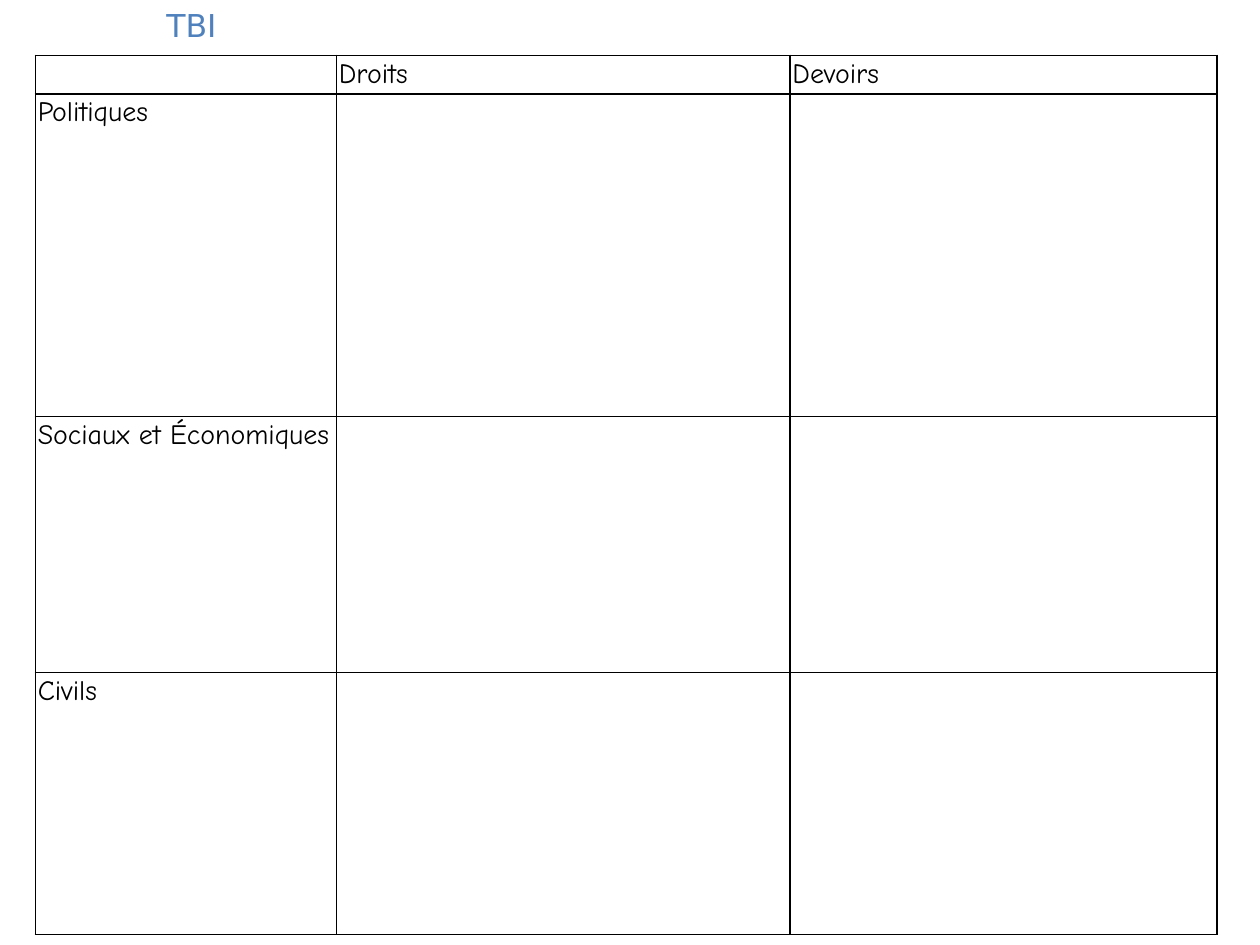
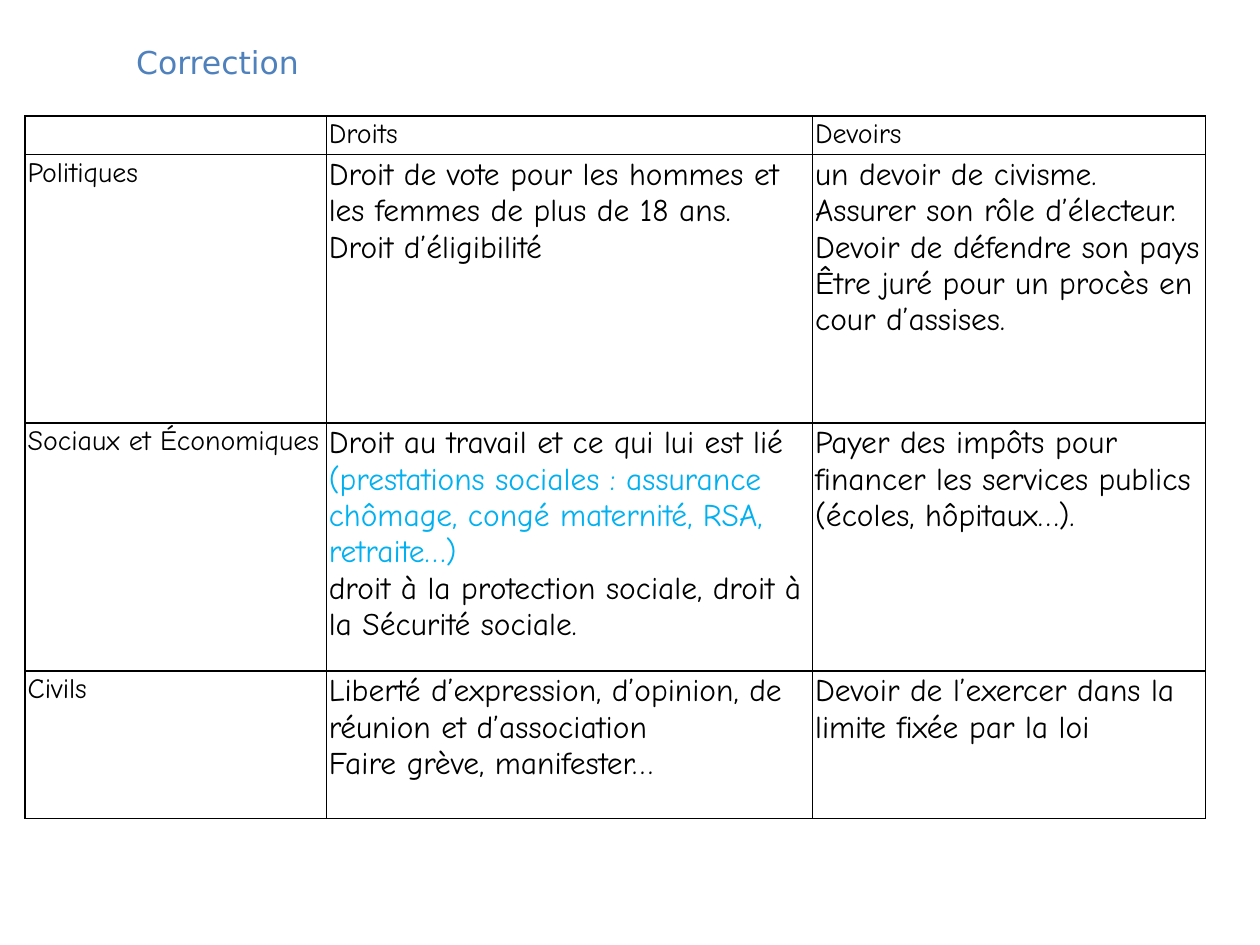
from dataclasses import dataclass

import pptx
import pptx.dml.color
import pptx.enum.text
import pptx.oxml
import pptx.oxml.ns
import pptx.util
from lxml import etree


@dataclass(frozen=True)
class Theme:
    title_color: str = "4F81BD"
    text_color: str = "000000"
    accent_color: str = "00B0F0"
    paper_color: str = "FFFFFF"
    title_font: str = "DejaVu Sans"
    table_font: str = "Comic Neue"
    title_size: int = 18
    label_size: int = 16
    answer_size: int = 18
    border_width: int = 1
    cell_margin: float = 0.02


THEME = Theme()
GRID_COLUMNS, GRID_ROWS = 100, 75
SLIDE_WIDTH, SLIDE_HEIGHT = pptx.util.Inches(10), pptx.util.Inches(7.5)
HEADINGS = ["Droits", "Devoirs"]
CATEGORIES = ["Politiques", "Sociaux et Économiques", "Civils"]
NO_ANSWERS = [["", ""] for _ in CATEGORIES]
ANSWERS = [
    [
        ["Droit de vote pour les hommes et les femmes de plus de 18 ans.",
         "Droit d’éligibilité"],
        ["un devoir de civisme. Assurer son rôle d’électeur.",
         "Devoir de défendre son pays",
         "Être juré pour un procès en cour d’assises."],
    ],
    [
        [("Droit au travail et ce qui lui est lié ",
          "(prestations sociales : assurance chômage, congé maternité, RSA, retraite…)"),
         "droit à la protection sociale, droit à la Sécurité sociale."],
        ["Payer des impôts pour financer les services publics (écoles, hôpitaux…)."],
    ],
    [
        ["Liberté d’expression, d’opinion, de réunion et d’association",
         "Faire grève, manifester…"],
        ["Devoir de l’exercer dans la limite fixée par la loi"],
    ],
]


def across(columns):
    return round(SLIDE_WIDTH * columns / GRID_COLUMNS)


def down(rows):
    return round(SLIDE_HEIGHT * rows / GRID_ROWS)


def rgb(color):
    return pptx.dml.color.RGBColor.from_string(color)


def style_run(r, font, size, color):
    r.font.name = font
    r.font.size = pptx.util.Pt(size)
    r.font.color.rgb = rgb(color)


def add_title(s, text, left, top, width):
    sp = s.shapes.title
    sp.left, sp.top = across(left), down(top)
    sp.width, sp.height = across(width), down(4)
    tf = sp.text_frame
    tf.text = text
    tf.word_wrap = False
    tf.auto_size = pptx.enum.text.MSO_AUTO_SIZE.SHAPE_TO_FIT_TEXT
    tf.vertical_anchor = pptx.enum.text.MSO_ANCHOR.TOP
    p = tf.paragraphs[0]
    p.alignment = pptx.enum.text.PP_ALIGN.LEFT
    style_run(p.runs[0], THEME.title_font, THEME.title_size, THEME.title_color)


def add_borders(cell):
    tcPr = cell._tc.get_or_add_tcPr()
    for side in ("a:lnL", "a:lnR", "a:lnT", "a:lnB"):
        ln = etree.SubElement(tcPr, pptx.oxml.ns.qn(side))
        ln.set("w", str(pptx.util.Pt(THEME.border_width)))
        fill = etree.SubElement(ln, pptx.oxml.ns.qn("a:solidFill"))
        etree.SubElement(fill, pptx.oxml.ns.qn("a:srgbClr")).set("val", THEME.text_color)


def format_cell(cell):
    margin = pptx.util.Inches(THEME.cell_margin)
    cell.margin_left = cell.margin_right = margin
    cell.margin_top = cell.margin_bottom = margin
    add_borders(cell)
    cell.fill.solid()
    cell.fill.fore_color.rgb = rgb(THEME.paper_color)


def fill_label(cell, text):
    p = cell.text_frame.paragraphs[0]
    p.text = text
    for r in p.runs:
        style_run(r, THEME.table_font, THEME.label_size, THEME.text_color)
    if not text:
        end = etree.SubElement(p._p, pptx.oxml.ns.qn("a:endParaRPr"))
        end.set("sz", str(THEME.label_size * 100))
        etree.SubElement(end, pptx.oxml.ns.qn("a:latin")).set("typeface", THEME.table_font)


def fill_answer(cell, paragraphs):
    tf = cell.text_frame
    for i, content in enumerate(paragraphs):
        p = tf.add_paragraph() if i else tf.paragraphs[0]
        parts = content if isinstance(content, tuple) else (content,)
        for text, color in zip(parts, (THEME.text_color, THEME.accent_color)):
            r = p.add_run()
            r.text = text
            style_run(r, THEME.table_font, THEME.answer_size, color)


def add_rights_table(s, left, top, widths, heights, answers):
    table = s.shapes.add_table(
        len(heights), len(widths), across(left), down(top),
        across(sum(widths)), down(sum(heights))).table
    table.first_row = table.horz_banding = False
    for column, width in zip(table.columns, widths):
        column.width = across(width)
    for row, height in zip(table.rows, heights):
        row.height = down(height)
    content = [["", *HEADINGS]]
    content += [[name, *cells] for name, cells in zip(CATEGORIES, answers)]
    for row, values in zip(table.rows, content):
        for cell, value in zip(row.cells, values):
            format_cell(cell)
            if isinstance(value, list):
                fill_answer(cell, value)
            else:
                fill_label(cell, value)


def add_rights_slide(prs, title, title_at, table_at, widths, heights, answers):
    s = prs.slides.add_slide(prs.slide_layouts[5])
    add_title(s, title, *title_at)
    add_rights_table(s, *table_at, widths, heights, answers)


def main():
    prs = pptx.Presentation()
    prs.slide_width, prs.slide_height = SLIDE_WIDTH, SLIDE_HEIGHT
    add_rights_slide(prs, "TBI", (12.2, 0, 6.4), (2.8, 4.4),
                     (23.9, 36, 33.9), (2.9, 25.6, 20.3, 20.8), NO_ANSWERS)
    add_rights_slide(prs, "Correction", (9.8, 2.9, 15.1), (2, 9.2),
                     (23.9, 38.6, 31.2), (3, 21.3, 19.7, 11.7), ANSWERS)
    prs.save("out.pptx")


if __name__ == "__main__":
    main()
